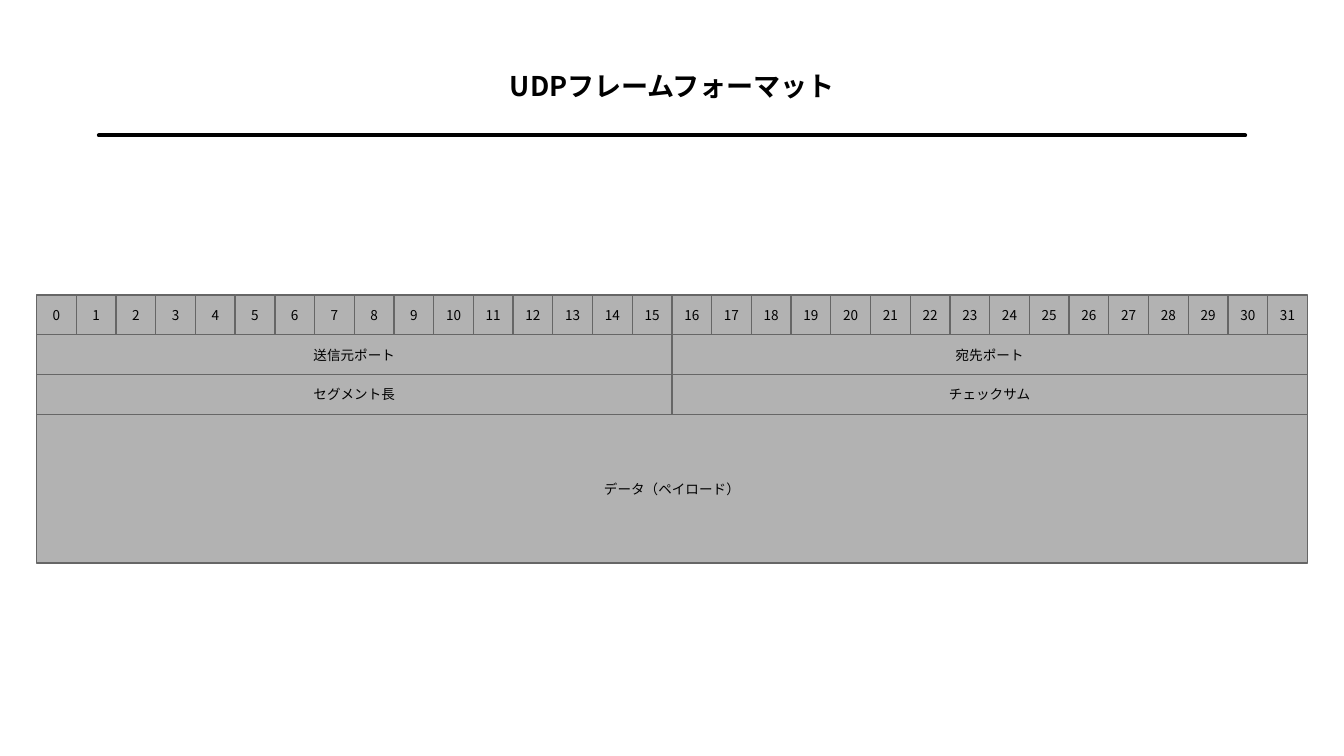
from lxml.etree import SubElement
from pptx import Presentation
from pptx.dml.color import RGBColor
from pptx.enum.shapes import MSO_CONNECTOR, MSO_SHAPE
from pptx.enum.text import MSO_ANCHOR, MSO_AUTO_SIZE, PP_ALIGN
from pptx.oxml.ns import qn
from pptx.util import Inches, Pt

COLORS = {"text": "000000", "rule": "000000", "cell": "B2B2B2", "border": "666666"}
FONT = "Noto Sans CJK SC"

BITS = 32
FRAME_LEFT, FRAME_TOP, FRAME_WIDTH = 0.3, 2.42, 10.42
BIT_WIDTH = FRAME_WIDTH / BITS
ROW_HEIGHT = BIT_WIDTH
PAYLOAD_HEIGHT = 1.22

# Each row: height and its fields as (label, width in bits)
FRAME_ROWS = [
    (ROW_HEIGHT, [(str(bit), 1) for bit in range(BITS)]),
    (ROW_HEIGHT, [("送信元ポート", 16), ("宛先ポート", 16)]),
    (ROW_HEIGHT, [("セグメント長", 16), ("チェックサム", 16)]),
    (PAYLOAD_HEIGHT, [("データ（ペイロード）", BITS)]),
]


class FrameSlide:
    def __init__(self, presentation):
        self.slide = presentation.slides.add_slide(presentation.slide_layouts[5])

    def color(self, name):
        return RGBColor.from_string(COLORS[name])

    def set_text(self, shape, text, size, bold=False):
        shape.text_frame.text = text
        paragraph = shape.text_frame.paragraphs[0]
        paragraph.alignment = PP_ALIGN.CENTER
        font = paragraph.runs[0].font
        font.size = Pt(size)
        font.bold = bold
        font.color.rgb = self.color("text")
        font.name = FONT
        properties = paragraph.runs[0]._r.get_or_add_rPr()
        SubElement(properties, qn("a:ea")).set("typeface", FONT)

    def title(self, text, left, top, width, height):
        title = self.slide.shapes.title
        title.left, title.top = Inches(left), Inches(top)
        title.width, title.height = Inches(width), Inches(height)
        self.set_text(title, text, 16, bold=True)
        text_frame = title.text_frame
        text_frame.auto_size = MSO_AUTO_SIZE.NONE
        text_frame.vertical_anchor = MSO_ANCHOR.TOP
        text_frame.margin_top = Inches(0.29)

    def rule(self, left, right, top):
        rule = self.slide.shapes.add_connector(
            MSO_CONNECTOR.STRAIGHT, Inches(left), Inches(top), Inches(right), Inches(top)
        )
        rule.line.color.rgb = self.color("rule")
        rule.line.width = Pt(2.3)
        rule.line._get_or_add_ln().set("cap", "rnd")
        SubElement(rule._element.spPr, qn("a:effectLst"))

    def field(self, label, left, top, width, height):
        field = self.slide.shapes.add_shape(
            MSO_SHAPE.RECTANGLE, Inches(left), Inches(top), Inches(width), Inches(height)
        )
        field.shadow.inherit = False
        field.fill.solid()
        field.fill.fore_color.rgb = self.color("cell")
        field.line.color.rgb = self.color("border")
        field.line.width = Pt(0)
        self.set_text(field, label, 8)
        field.text_frame.word_wrap = False
        field.text_frame.vertical_anchor = MSO_ANCHOR.MIDDLE

    def frame(self, rows):
        """Stack the rows and place each field by its bit offset."""
        top = FRAME_TOP
        for height, fields in rows:
            left = FRAME_LEFT
            for label, bits in fields:
                width = bits * BIT_WIDTH
                self.field(label, left, top, width, height)
                left += width
            top += height


def main():
    presentation = Presentation()
    presentation.slide_width = Inches(11.02)
    presentation.slide_height = Inches(6.2)
    slide = FrameSlide(presentation)
    slide.title("UDPフレームフォーマット", 3.56, 0.28, 3.91, 0.74)
    slide.rule(0.81, 10.21, 1.11)
    slide.frame(FRAME_ROWS)
    presentation.save("out.pptx")


if __name__ == "__main__":
    main()
